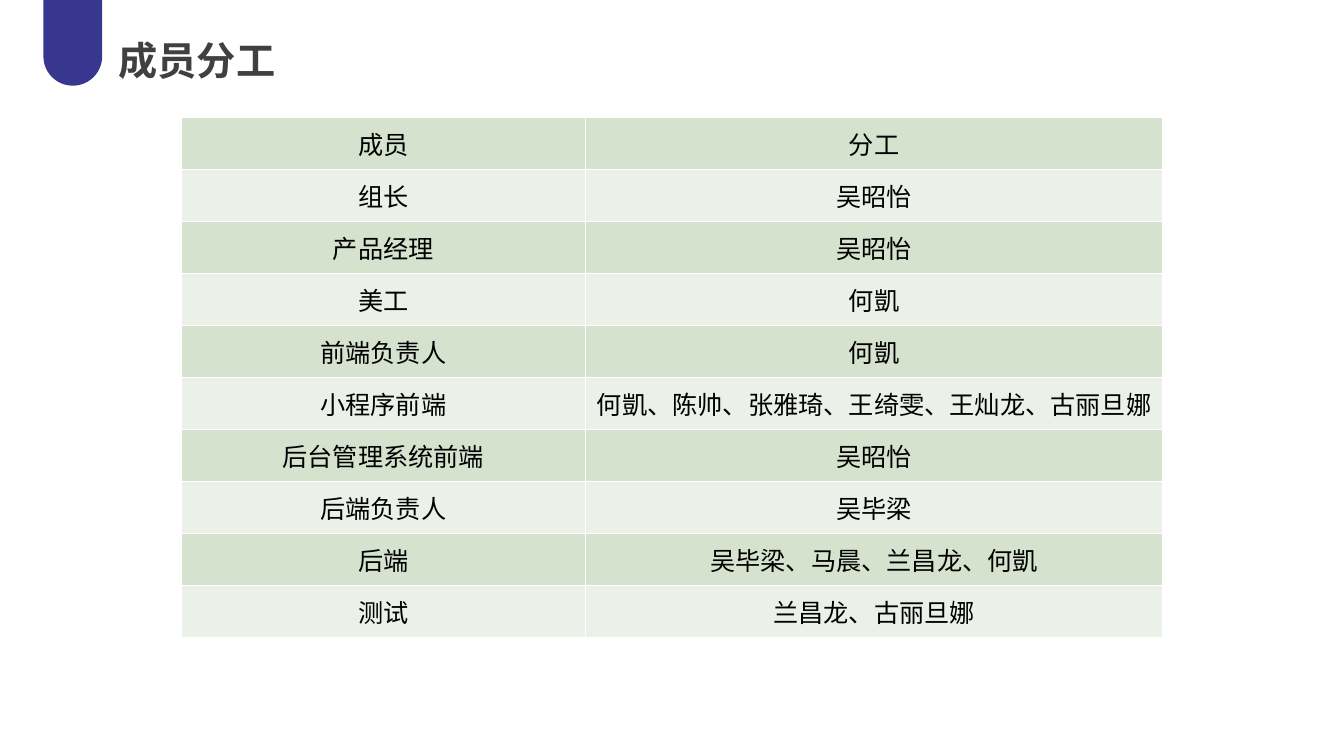
import pptx
import pptx.dml.color
import pptx.enum.shapes
import pptx.enum.text
import pptx.oxml
import pptx.oxml.ns
import pptx.util

Pt = pptx.util.Pt
COLORS = {
    "tab": "373790",
    "title": "404040",
    "text": "000000",
    "border": "FFFFFF",
    "odd_row": "D4E2CE",
    "even_row": "EBF1E8",
}
CJK_FONT = "Noto Sans CJK SC"
DUTIES = [
    ("成员", "分工"),
    ("组长", "吴昭怡"),
    ("产品经理", "吴昭怡"),
    ("美工", "何凱"),
    ("前端负责人", "何凱"),
    ("小程序前端", "何凱、陈帅、张雅琦、王绮雯、王灿龙、古丽旦娜"),
    ("后台管理系统前端", "吴昭怡"),
    ("后端负责人", "吴毕梁"),
    ("后端", "吴毕梁、马晨、兰昌龙、何凱"),
    ("测试", "兰昌龙、古丽旦娜"),
]


def rgb(name):
    return pptx.dml.color.RGBColor.from_string(COLORS[name])


def style_run(run, latin, size, color, bold=False):
    run.font.name = latin
    run.font.size = Pt(size)
    run.font.bold = bold
    run.font.color.rgb = rgb(color)
    east_asian = pptx.oxml.parse_xml(
        f'<a:ea {pptx.oxml.ns.nsdecls("a")} typeface="{CJK_FONT}"/>')
    run.font._element.find(pptx.oxml.ns.qn("a:latin")).addnext(east_asian)


def clear_margins(box):
    box.margin_left = box.margin_right = box.margin_top = box.margin_bottom = 0


def add_heading(slide, left, top, width, height):
    """Place the tab bleeding off the top edge and the title beside it."""
    tab_width, title_offset, title_top = 42, 53.5, 54.5
    tab = slide.shapes.add_shape(
        pptx.enum.shapes.MSO_SHAPE.ROUNDED_RECTANGLE,
        Pt(left), Pt(top), Pt(tab_width), Pt(height))
    tab.adjustments[0] = 0.5
    tab.shadow.inherit = False
    tab.fill.solid()
    tab.fill.fore_color.rgb = rgb("tab")
    tab.line.fill.background()

    title = slide.shapes.title
    title.left, title.top = Pt(left + title_offset), Pt(top + title_top)
    title.width, title.height = Pt(width - title_offset), Pt(40.5)
    frame = title.text_frame
    frame.text = "成员分工"
    clear_margins(frame)
    frame.word_wrap = True
    frame.auto_size = pptx.enum.text.MSO_AUTO_SIZE.NONE
    frame.vertical_anchor = pptx.enum.text.MSO_ANCHOR.TOP
    heading = frame.paragraphs[0]
    heading.alignment = pptx.enum.text.PP_ALIGN.LEFT
    style_run(heading.runs[0], CJK_FONT, 28, "title", bold=True)
    heading.runs[0].font._element.set("spc", "10")


def add_borders(cell):
    properties = cell._tc.get_or_add_tcPr()
    for side in ("lnL", "lnR", "lnT", "lnB"):
        properties.append(pptx.oxml.parse_xml(
            f'<a:{side} {pptx.oxml.ns.nsdecls("a")} w="{Pt(1)}"><a:solidFill>'
            f'<a:srgbClr val="{COLORS["border"]}"/></a:solidFill></a:{side}>'))


def fill_cell(cell, words, fill):
    cell.text = words
    clear_margins(cell)
    cell.vertical_anchor = pptx.enum.text.MSO_ANCHOR.MIDDLE
    add_borders(cell)
    cell.fill.solid()
    cell.fill.fore_color.rgb = rgb(fill)
    line = cell.text_frame.paragraphs[0]
    line.alignment = pptx.enum.text.PP_ALIGN.CENTER
    style_run(line.runs[0], "Calibri", 18, "text")


def add_duties(slide, left, top, width, height):
    member_width = 288.5
    duties = slide.shapes.add_table(
        len(DUTIES), 2, Pt(left), Pt(top), Pt(width), Pt(height)).table
    duties.first_row = duties.horz_banding = False
    duties.columns[0].width = Pt(member_width)
    duties.columns[1].width = Pt(width - member_width)
    for row, entry in enumerate(DUTIES):
        duties.rows[row].height = Pt(height / len(DUTIES))
        for column, words in enumerate(entry):
            fill_cell(duties.cell(row, column), words,
                      "even_row" if row % 2 else "odd_row")


def main():
    deck = pptx.Presentation()
    deck.slide_width, deck.slide_height = Pt(960), Pt(540)
    slide = deck.slides.add_slide(deck.slide_layouts.get_by_name("Title Only"))
    add_heading(slide, 31, -28.8, 476, 90)
    add_duties(slide, 129.6, 84.2, 701, 371.5)
    deck.save("out.pptx")


if __name__ == "__main__":
    main()
